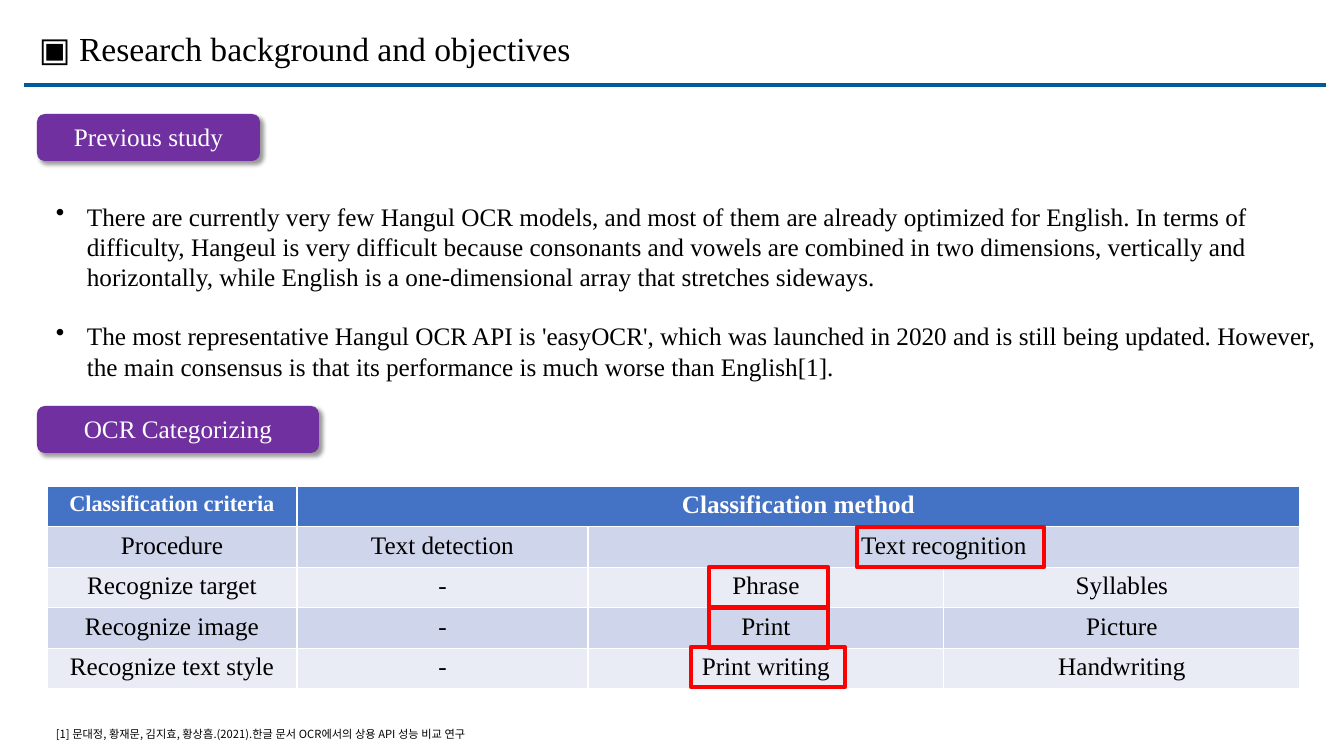
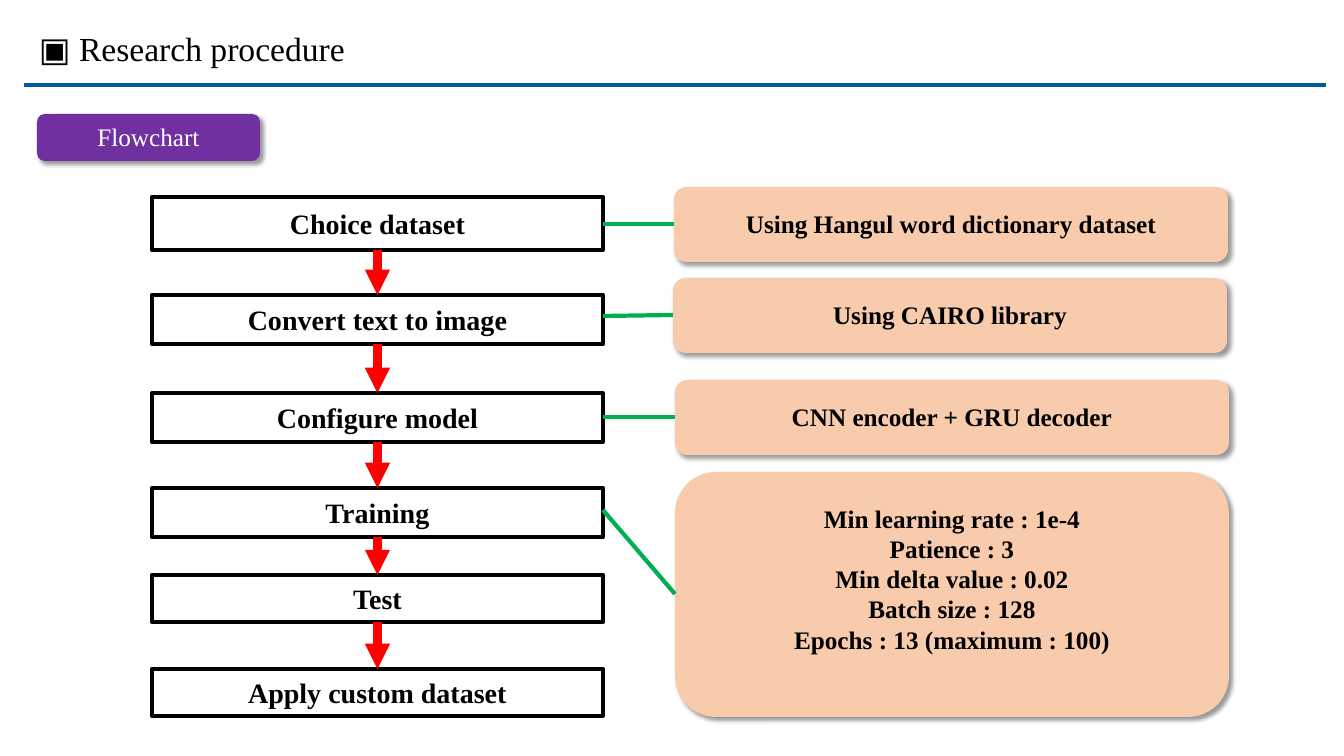
from dataclasses import dataclass

from lxml import etree
from pptx import Presentation
from pptx.dml.color import RGBColor
from pptx.enum.shapes import MSO_CONNECTOR, MSO_SHAPE
from pptx.enum.text import MSO_ANCHOR, PP_ALIGN
from pptx.oxml.ns import qn
from pptx.util import Pt

STRAIGHT = MSO_CONNECTOR.STRAIGHT
RECTANGLE = MSO_SHAPE.RECTANGLE
ROUNDED = MSO_SHAPE.ROUNDED_RECTANGLE
LEFT, CENTER = PP_ALIGN.LEFT, PP_ALIGN.CENTER
TOP, MIDDLE = MSO_ANCHOR.TOP, MSO_ANCHOR.MIDDLE
BOTTOM_SITE, TOP_SITE = 2, 0

EMU_PER_PIXEL = 914400 / 100.8
SERIF, KOREAN = "Times New Roman", "Noto Sans CJK KR"
COLORS = {
    "text": "000000", "white": "FFFFFF", "rule": "015B9A", "tag": "7030A0",
    "header": "4472C4", "band_dark": "CFD5EA", "band_light": "E9EBF5",
    "highlight": "FF0000", "detail": "F8CBAD", "link": "00B050",
}


@dataclass(frozen=True)
class Box:
    """A rectangle in pixels."""
    left: int
    top: int
    width: int
    height: int

    def emu(self) -> tuple[int, ...]:
        """Return left, top, width and height in EMU."""
        return tuple(map(px, (self.left, self.top, self.width, self.height)))


@dataclass(frozen=True)
class TextStyle:
    """Type settings of a block of text."""
    size: int
    color: str = "text"
    bold: bool = False
    align: PP_ALIGN = LEFT
    font: str = SERIF


@dataclass(frozen=True)
class Step:
    """One stage of the flowchart."""
    label: str
    top: int
    height: int


@dataclass(frozen=True)
class Detail:
    """A note on a stage, with the height at which its link leaves the stage."""
    lines: tuple[str, ...]
    box: Box
    link_top: int
    bottom_inset: int = 4


TITLE = TextStyle(24)
BODY = TextStyle(18)
FOOTNOTE = TextStyle(8, font=KOREAN)
TAG = TextStyle(18, "white", align=CENTER)
STEP = TextStyle(20, bold=True, align=CENTER)
DETAIL = TextStyle(18, bold=True, align=CENTER)
CELL = TextStyle(18, align=CENTER)
HEADER = TextStyle(18, "white", True, CENTER)
FIRST_HEADER = TextStyle(16, "white", True, CENTER)

FINDINGS = (
    "There are currently very few Hangul OCR models, and most of them are already "
    "optimized for English. In terms of difficulty, Hangeul is very difficult because "
    "consonants and vowels are combined in two dimensions, vertically and horizontally, "
    "while English is a one-dimensional array that stretches sideways.",
    "The most representative Hangul OCR API is 'easyOCR', which was launched in 2020 and "
    "is still being updated. However, the main consensus is that its performance is much "
    "worse than English[1].",
)
CITATION = "[1] 문대정, 황재문, 김지효, 황상흠.(2021).한글 문서 OCR에서의 상용 API 성능 비교 연구"
CATEGORIES = (
    ("Classification criteria", "Classification method", "", ""),
    ("Procedure", "Text detection", "Text recognition", ""),
    ("Recognize target", "-", "Phrase", "Syllables"),
    ("Recognize image", "-", "Print", "Picture"),
    ("Recognize text style", "-", "Print writing", "Handwriting"),
)
COLUMN_WIDTHS = (250, 291, 356, 356)
HIGHLIGHTS = (
    Box(709, 567, 119, 40), Box(709, 608, 119, 40),
    Box(691, 647, 154, 40), Box(857, 527, 187, 40),
)
STEP_LEFT, STEP_WIDTH = 152, 451
STEPS = (
    Step("Choice dataset", 197, 53), Step("Convert text to image", 295, 49),
    Step("Configure model", 393, 49), Step("Training", 488, 49),
    Step("Test", 575, 47), Step("Apply custom dataset", 669, 47),
)
DETAILS = (
    Detail(("Using Hangul word dictionary dataset",), Box(674, 187, 554, 75), 224),
    Detail(("Using CAIRO library",), Box(673, 278, 554, 75), 316),
    Detail(("CNN encoder + GRU decoder",), Box(675, 380, 554, 75), 417),
    Detail(("Min learning rate : 1e-4", "Patience : 3", "Min delta value : 0.02",
            "Batch size : 128", "Epochs : 13 (maximum : 100)"),
           Box(675, 472, 554, 245), 510, 34),
)


def px(pixels: float) -> int:
    """Convert pixels to EMU."""
    return round(pixels * EMU_PER_PIXEL)


def rgb(name: str) -> RGBColor:
    """Look up a named colour."""
    return RGBColor.from_string(COLORS[name])


def write(frame, lines: tuple[str, ...], style: TextStyle) -> None:
    """Fill a text frame with one styled paragraph per line."""
    frame.text = "\n".join(lines)
    for paragraph in frame.paragraphs:
        paragraph.alignment = style.align
        font = paragraph.font
        font.name, font.size, font.bold = style.font, Pt(style.size), style.bold
        font.color.rgb = rgb(style.color)
        defaults = paragraph._p.pPr.find(qn("a:defRPr"))
        etree.SubElement(defaults, qn("a:ea"), typeface=style.font)


def add_text(slide, box: Box, lines: tuple[str, ...], style: TextStyle):
    """Add a wrapping text box and return its frame."""
    frame = slide.shapes.add_textbox(*box.emu()).text_frame
    frame.word_wrap = True
    write(frame, lines, style)
    return frame


def add_bullets(slide, box: Box, lines: tuple[str, ...]) -> None:
    """Add a bulleted list with a line of space between its items."""
    frame = add_text(slide, box, lines, BODY)
    for paragraph in frame.paragraphs[:-1]:
        paragraph.space_after = Pt(20.7)
    for paragraph in frame.paragraphs:
        properties = paragraph._p.pPr
        properties.set("marL", str(px(31)))
        properties.set("indent", str(px(-31)))
        bullet = etree.Element(qn("a:buChar"), char="•")
        properties.find(qn("a:defRPr")).addprevious(bullet)


def add_card(slide, box: Box, fill: str, lines: tuple[str, ...], style: TextStyle,
             bottom_inset: int = 4) -> None:
    """Add a rounded, shadowed box with centred text."""
    shape = slide.shapes.add_shape(ROUNDED, *box.emu())
    shape.fill.solid()
    shape.fill.fore_color.rgb = rgb(fill)
    shape.line.fill.background()
    shape.shadow.inherit = False
    effects = shape._element.spPr.find(qn("a:effectLst"))
    shadow = etree.SubElement(effects, qn("a:outerShdw"), blurRad=str(Pt(3)),
                              dist=str(Pt(3)), dir="2700000", algn="tl", rotWithShape="0")
    color = etree.SubElement(shadow, qn("a:srgbClr"), val=COLORS["text"])
    etree.SubElement(color, qn("a:alpha"), val="40000")
    frame = shape.text_frame
    frame.word_wrap = True
    frame.vertical_anchor = MIDDLE
    frame.margin_left = frame.margin_right = px(4)
    frame.margin_top, frame.margin_bottom = px(2), px(bottom_inset)
    write(frame, lines, style)


def add_outline(slide, box: Box, color: str):
    """Add an unfilled rectangle with a thick outline."""
    shape = slide.shapes.add_shape(RECTANGLE, *box.emu())
    shape.shadow.inherit = False
    shape.fill.background()
    shape.line.color.rgb = rgb(color)
    shape.line.width = Pt(3)
    return shape


def add_line(slide, start: tuple[int, int], end: tuple[int, int], color: str, width: float):
    """Add a straight line without a shadow."""
    line = slide.shapes.add_connector(STRAIGHT, *map(px, start + end))
    line.line.color.rgb = rgb(color)
    line.line.width = Pt(width)
    etree.SubElement(line._element.spPr, qn("a:effectLst"))
    return line


def add_arrow(slide, upper, lower) -> None:
    """Join two stages with a downward arrow."""
    arrow = add_line(slide, (0, 0), (0, 0), "highlight", 6)
    arrow.begin_connect(upper, BOTTOM_SITE)
    arrow.end_connect(lower, TOP_SITE)
    etree.SubElement(arrow.line._get_or_add_ln(), qn("a:tailEnd"), type="triangle")


def add_category_table(slide) -> None:
    """Add the banded table of recognition categories."""
    box = Box(47, 486, sum(COLUMN_WIDTHS), 203)
    table = slide.shapes.add_table(len(CATEGORIES), len(COLUMN_WIDTHS), *box.emu()).table
    for column, width in zip(table.columns, COLUMN_WIDTHS):
        column.width = px(width)
    table.cell(0, 1).merge(table.cell(0, 3))
    table.cell(1, 2).merge(table.cell(1, 3))
    for row, texts in enumerate(CATEGORIES):
        band = "header" if row == 0 else "band_dark" if row % 2 else "band_light"
        for column, text in enumerate(texts):
            cell = table.cell(row, column)
            cell.fill.solid()
            cell.fill.fore_color.rgb = rgb(band)
            cell.vertical_anchor = TOP
            style = CELL if row else HEADER if column else FIRST_HEADER
            write(cell.text_frame, (text,), style)


def add_base_slide(presentation, title: str, tag: str):
    """Add a slide with the shared title, rule and first section tag."""
    slide = presentation.slides.add_slide(presentation.slide_layouts[6])
    add_line(slide, (24, 85), (1326, 85), "rule", 2.25)
    add_text(slide, Box(29, 23, 662, 50), (f"▣ {title}",), TITLE)
    add_card(slide, Box(37, 114, 223, 47), "tag", (tag,), TAG)
    return slide


def build_background(presentation) -> None:
    """Build the slide on earlier work and OCR categories."""
    slide = add_base_slide(presentation, "Research background and objectives",
                           "Previous study")
    add_bullets(slide, Box(46, 196, 1286, 224), FINDINGS)
    add_category_table(slide)
    add_card(slide, Box(37, 406, 282, 47), "tag", ("OCR Categorizing",), TAG)
    add_text(slide, Box(46, 722, 1017, 24), (CITATION,), FOOTNOTE)
    for box in HIGHLIGHTS:
        add_outline(slide, box, "highlight")


def build_procedure(presentation) -> None:
    """Build the flowchart slide."""
    slide = add_base_slide(presentation, "Research procedure", "Flowchart")
    stages = []
    for step in STEPS:
        stage = add_outline(slide, Box(STEP_LEFT, step.top, STEP_WIDTH, step.height), "text")
        stage.text_frame.vertical_anchor = MIDDLE
        write(stage.text_frame, (step.label,), STEP)
        stages.append(stage)
    for upper, lower in zip(stages, stages[1:]):
        add_arrow(slide, upper, lower)
    for detail in DETAILS:
        box = detail.box
        add_card(slide, box, "detail", detail.lines, DETAIL, detail.bottom_inset)
        add_line(slide, (STEP_LEFT + STEP_WIDTH, detail.link_top),
                 (box.left, box.top + box.height // 2), "link", 3)


def main() -> None:
    """Build and save the presentation."""
    presentation = Presentation()
    presentation.slide_width, presentation.slide_height = px(1344), px(756)
    build_background(presentation)
    build_procedure(presentation)
    presentation.save("out.pptx")


main()
